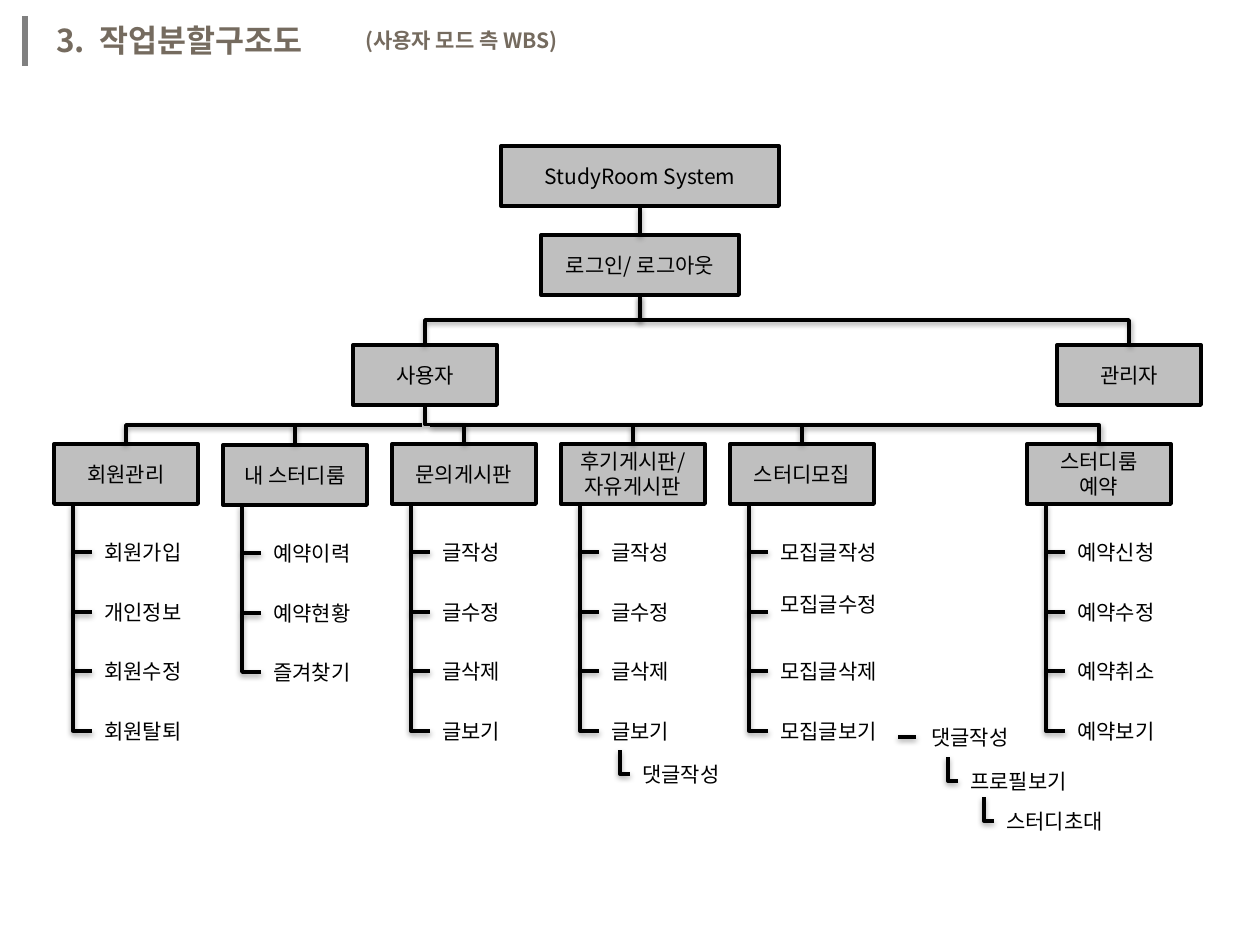
import lxml.etree
import pptx
import pptx.dml.color
import pptx.enum.shapes
import pptx.enum.text
import pptx.oxml
import pptx.oxml.ns
import pptx.util

PX = 914400 / 126
FONT = "Noto Sans CJK KR"
BROWN, BLACK, GRAY, WHITE = "756B5F", "000000", "BFBFBF", "FFFFFF"
CONNECTOR = pptx.enum.shapes.MSO_CONNECTOR
BOX_W, BOX_H = 144, 60
BRANCH_Y, COLUMN_Y = 425, 444
ITEM_YS = [533, 593, 652, 712]
ITEM_WIDTHS = {3: 89, 4: 111, 5: 131}
MID = 19
COLUMNS = [
    (54, 0, ["회원관리"], ["회원가입", "개인정보", "회원수정", "회원탈퇴"]),
    (223, 1, ["내 스터디룸"], ["예약이력", "예약현황", "즐겨찾기"]),
    (392, 0, ["문의게시판"], ["글작성", "글수정", "글삭제", "글보기"]),
    (561, 0, ["후기게시판/", "자유게시판"], ["글작성", "글수정", "글삭제", "글보기"]),
    (730, 0, ["스터디모집"], ["모집글작성", "모집글수정", "모집글삭제", "모집글보기"]),
    (1027, 0, ["스터디룸", "예약"], ["예약신청", "예약수정", "예약취소", "예약보기"]),
]
NUDGES = {"모집글수정": -8}
SHADOW = (
    '<a:effectLst xmlns:a="http://schemas.openxmlformats.org/drawingml/2006/main">'
    '<a:outerShdw blurRad="40000" dist="20000" dir="5400000" rotWithShape="0">'
    '<a:srgbClr val="000000"><a:alpha val="38000"/></a:srgbClr>'
    "</a:outerShdw></a:effectLst>"
)


def px(n):
    return pptx.util.Emu(round(n * PX))


def rgb(color):
    return pptx.dml.color.RGBColor.from_string(color)


def add_text(tf, lines, size=12, color=BLACK, bold=False, align=None):
    for i, line in enumerate(lines):
        p = tf.paragraphs[0] if i == 0 else tf.add_paragraph()
        p.alignment = align
        r = p.add_run()
        r.text = line
        r.font.name = FONT
        r.font.size = pptx.util.Pt(size)
        r.font.bold = bold
        r.font.color.rgb = rgb(color)
        ea = lxml.etree.SubElement(r.font._element, pptx.oxml.ns.qn("a:ea"))
        ea.set("typeface", FONT)


def add_heading(s, x, y, w, h, text, size):
    tf = s.shapes.add_textbox(px(x), px(y), px(w), px(h)).text_frame
    tf.word_wrap = True
    tf.auto_size = pptx.enum.text.MSO_AUTO_SIZE.SHAPE_TO_FIT_TEXT
    add_text(tf, [text], size, BROWN, True)


def add_rect(s, x, y, w, h, fill):
    sp = s.shapes.add_shape(
        pptx.enum.shapes.MSO_SHAPE.RECTANGLE, px(x), px(y), px(w), px(h))
    sp.shadow.inherit = False
    sp.fill.solid()
    sp.fill.fore_color.rgb = rgb(fill)
    return sp


def add_box(s, x, y, lines, w=BOX_W):
    sp = add_rect(s, x, y, w, BOX_H, GRAY)
    sp.line.color.rgb = rgb(BLACK)
    sp.line.width = pptx.util.Pt(2.25)
    sp.text_frame.word_wrap = True
    sp.text_frame.vertical_anchor = pptx.enum.text.MSO_ANCHOR.MIDDLE
    add_text(sp.text_frame, lines, align=pptx.enum.text.PP_ALIGN.CENTER)


def add_item(s, x, y, text):
    sp = add_rect(s, x, y, ITEM_WIDTHS[len(text)], 38, WHITE)
    sp.line.fill.background()
    tf = sp.text_frame
    tf.word_wrap = False
    tf.auto_size = pptx.enum.text.MSO_AUTO_SIZE.SHAPE_TO_FIT_TEXT
    tf.vertical_anchor = pptx.enum.text.MSO_ANCHOR.TOP
    add_text(tf, [text], align=pptx.enum.text.PP_ALIGN.LEFT)


def add_line(s, x1, y1, x2, y2, kind=CONNECTOR.STRAIGHT, color=BLACK, width=2, shadow=True):
    c = s.shapes.add_connector(kind, px(x1), px(y1), px(x2), px(y2))
    c.line.color.rgb = rgb(color)
    c.line.width = pptx.util.Pt(width)
    effects = pptx.oxml.parse_xml(SHADOW)
    if not shadow:
        effects.remove(effects[0])
    c._element.spPr.append(effects)
    return c


def add_corner(s, x1, y1, x2, y2):
    c = add_line(s, x1, y1, x2, y2, CONNECTOR.ELBOW)
    c._element.spPr.find(pptx.oxml.ns.qn("a:prstGeom")).set("prst", "bentConnector2")


def add_drop(s, x1, y1, x2, y2):
    cx, cy = (x1 + x2) / 2, (y1 + y2) / 2
    dx, dy = (x2 - x1) / 2, (y2 - y1) / 2
    c = add_line(s, cx - dy, cy + dx, cx + dy, cy - dx, CONNECTOR.ELBOW)
    c._element.spPr.find(pptx.oxml.ns.qn("a:xfrm")).set("rot", "5400000")


def add_sub_item(s, x, y, text):
    add_item(s, x, y, text)
    add_corner(s, x, y + MID, x - 10, y - 5)


def add_column(s, x, dy, title, items):
    top = COLUMN_Y + dy
    rail_x, item_x = x + 19, x + 38
    add_box(s, x, top, title)
    ys = [y + dy for y in ITEM_YS[:len(items)]]
    for y, item in zip(ys, items):
        add_item(s, item_x, y + NUDGES.get(item, 0), item)
    for y in ys[:-1]:
        add_line(s, item_x, y + MID, rail_x, y + MID)
    add_corner(s, item_x, ys[-1] + MID, rail_x, top + BOX_H)


def main():
    prs = pptx.Presentation()
    prs.slide_width, prs.slide_height = px(1260), px(945)
    s = prs.slides.add_slide(prs.slide_layouts[6])

    add_line(s, 25, 16, 25, 66, color="808080", width=3, shadow=False)
    add_heading(s, 44, 15, 404, 50, "3.  작업분할구조도", 18)
    add_heading(s, 353, 21, 228, 38, "(사용자 모드 측 WBS)", 12)

    add_box(s, 501, 146, ["StudyRoom System"], 278)
    add_box(s, 541, 235, ["로그인/ 로그아웃"], 198)
    add_line(s, 640, 206, 640, 235)
    for x, role in [(353, "사용자"), (1057, "관리자")]:
        add_box(s, x, 345, [role])
        add_drop(s, 640, 295, x + BOX_W // 2, 345)

    for column in COLUMNS:
        add_column(s, *column)
    centers = [column[0] + BOX_W // 2 for column in COLUMNS]
    add_drop(s, 425, 405, centers[2], COLUMN_Y)
    add_corner(s, 422, BRANCH_Y, centers[0], COLUMN_Y)
    add_corner(s, 430, BRANCH_Y, centers[-1], COLUMN_Y)
    for i in (1, 3, 4):
        add_line(s, centers[i], COLUMN_Y, centers[i], BRANCH_Y)

    add_sub_item(s, 630, 755, "댓글작성")
    add_item(s, 919, 718, "댓글작성")
    add_line(s, 916, 737, 898, 737)
    add_sub_item(s, 958, 762, "프로필보기")
    add_sub_item(s, 994, 802, "스터디초대")
    prs.save("out.pptx")


if __name__ == "__main__":
    main()
